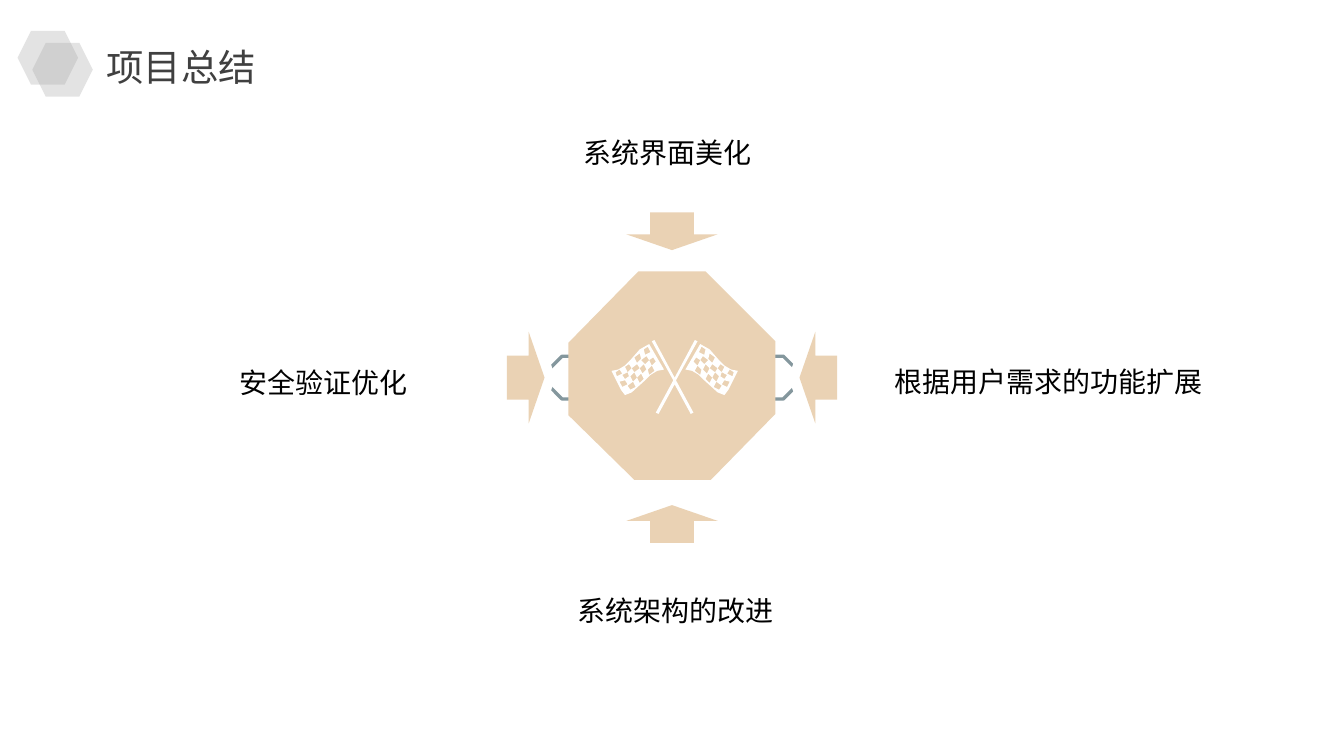
"""Build the project summary slide: four arrows pointing at a flagged octagon."""
import pptx
import pptx.util
import pptx.dml.color
import pptx.enum.shapes
import pptx.enum.text
from lxml import etree

Pt = pptx.util.Pt
RGB = pptx.dml.color.RGBColor.from_string
KIND = pptx.enum.shapes.MSO_SHAPE
ALIGN = pptx.enum.text.PP_ALIGN
FIT = pptx.enum.text.MSO_AUTO_SIZE

THEME = {
    "sand": "EAD2B4", "white": "FFFFFF", "slate": "84979D", "grey": "A6A6A6",
    "label": {"size": Pt(15), "name": "Arial", "color": "000000"},
    "title": {"size": Pt(20), "name": "Noto Sans CJK SC", "color": "404040"},
}
TITLE = ("项目总结", (49.7, 20.2, 95, 31.7))
LABELS = [
    ("系统界面美化", 265, 65.5),
    ("根据用户需求的功能扩展", 469.4, 187.9),
    ("安全验证优化", 80.6, 188.6),
    ("系统架构的改进", 269.3, 311),
]
LABEL = (185, 27.4)
HEXES = [(9.4, 16.6), (17.3, 23)]
HEX = (32.4, 28.8)
MID = (360, 202.3)
ARROW = (49, 20.2)
PAIRS = [[(1, 0, 270), (-1, 0, 90)], [(0, 1, 0), (0, -1, 180)]]
LAYERS = [(77.8, 10), (78.4, 0)]

UNIT = Pt(0.72)
CORE = [(475, 202), (525, 202), (577, 254), (577, 308),
        (529, 357), (472, 357), (423, 309), (423, 255)]
POLES = [(519, 254), (517, 253), (502, 281), (487, 253), (485, 254), (501, 283),
         (488, 307), (490, 308), (502, 286), (514, 308), (516, 307), (503, 283)]
CLOTH = [(483, 256), (476, 260), (469, 268), (465, 272), (460, 275), (455, 276),
         (462, 290), (465, 294), (470, 292), (480, 283), (484, 279), (489, 276), (494, 275)]
CHECKS = [
    [(488, 269), (485, 272), (483, 268), (486, 266)],
    [(482, 258), (484, 262), (480, 264), (479, 260)],
    [(481, 265), (483, 268), (480, 271), (477, 268)],
    [(476, 263), (477, 267), (474, 270), (472, 266)],
    [(474, 271), (476, 274), (472, 277), (470, 274)],
    [(468, 271), (470, 274), (467, 277), (465, 273)],
    [(467, 277), (468, 280), (465, 282), (463, 279)],
    [(458, 277), (461, 275), (463, 278), (459, 280)],
    [(463, 288), (461, 284), (465, 283), (467, 286)],
    [(469, 290), (467, 287), (471, 284), (473, 288)],
    [(471, 284), (469, 280), (472, 277), (474, 281)],
    [(476, 285), (474, 281), (477, 278), (479, 282)],
    [(478, 278), (476, 274), (479, 271), (481, 275)],
    [(483, 279), (482, 275), (485, 272), (487, 276)],
]
FLAG = [CLOTH] + CHECKS
AXIS = 502


def paint(shape, fill, line=None, width=0):
    shape.shadow.inherit = False
    shape.fill.solid()
    shape.fill.fore_color.rgb = RGB(fill)
    if line:
        shape.line.color.rgb = RGB(line)
        shape.line.width = Pt(width)
    else:
        shape.line.fill.background()
    return shape


def preset(home, kind, box, *look):
    return paint(home.add_shape(kind, *map(Pt, box)), *look)


def outline(home, rings, fill):
    pen = home.build_freeform(*rings[0][0], scale=UNIT)
    for ring in rings:
        if ring is not rings[0]:
            pen.move_to(*ring[0])
        pen.add_line_segments(ring[1:], close=True)
    return paint(pen.convert_to_shape(), fill)


def write(home, text, box, style, wrap, form):
    frame = home.add_textbox(*map(Pt, box)).text_frame
    frame.word_wrap = wrap
    frame.auto_size = FIT.SHAPE_TO_FIT_TEXT
    para = frame.paragraphs[0]
    for key, value in form.items():
        setattr(para, key, value)
    run = para.add_run()
    run.text = text
    for key in ("size", "name"):
        setattr(run.font, key, style[key])
    run.font.color.rgb = RGB(style["color"])
    face = etree.SubElement(run.font._element, pptx.oxml.ns.qn("a:ea"))
    face.set("typeface", style["name"])


def fade(shape, share):
    tone = shape.fill._xPr.find(".//" + pptx.oxml.ns.qn("a:srgbClr"))
    etree.SubElement(tone, pptx.oxml.ns.qn("a:alpha")).set("val", str(share * 1000))


def main():
    deck = pptx.Presentation()
    deck.slide_width, deck.slide_height = Pt(720), Pt(405)
    home = deck.slides.add_slide(deck.slide_layouts[6]).shapes

    ring = preset(home, KIND.OCTAGON, (294.5, 190.8, 131.8, 23),
                  THEME["white"], THEME["slate"], 1.75)
    ring.adjustments[0] = 0.29

    wide, high = ARROW
    for pair in PAIRS:
        group = home.add_group_shape().shapes
        for dx, dy, turn in pair:
            for reach, edge in LAYERS:
                box = (MID[0] + dx * reach - wide / 2, MID[1] + dy * reach - high / 2, wide, high)
                arrow = preset(group, KIND.UP_ARROW, box, THEME["sand"],
                               THEME["white"] if edge else None, edge)
                arrow.rotation = turn
                arrow.adjustments[0], arrow.adjustments[1] = 0.48, 0.42

    form = {"alignment": ALIGN.CENTER, "line_spacing": 1.2, "space_before": Pt(3)}
    for text, left, top in LABELS:
        write(home, text, (left, top, *LABEL), THEME["label"], True, form)

    outline(home, [CORE], THEME["sand"])
    flags = home.add_group_shape().shapes
    mirror = [[(2 * AXIS - x, y) for x, y in ring] for ring in FLAG]
    for rings in ([POLES], mirror, FLAG):
        outline(flags, rings, THEME["white"])

    badge = home.add_group_shape().shapes
    for spot in HEXES:
        fade(preset(badge, KIND.HEXAGON, (*spot, *HEX), THEME["grey"]), 31)
    write(home, *TITLE, THEME["title"], False, {"alignment": ALIGN.CENTER})

    deck.save("out.pptx")


if __name__ == "__main__":
    main()
